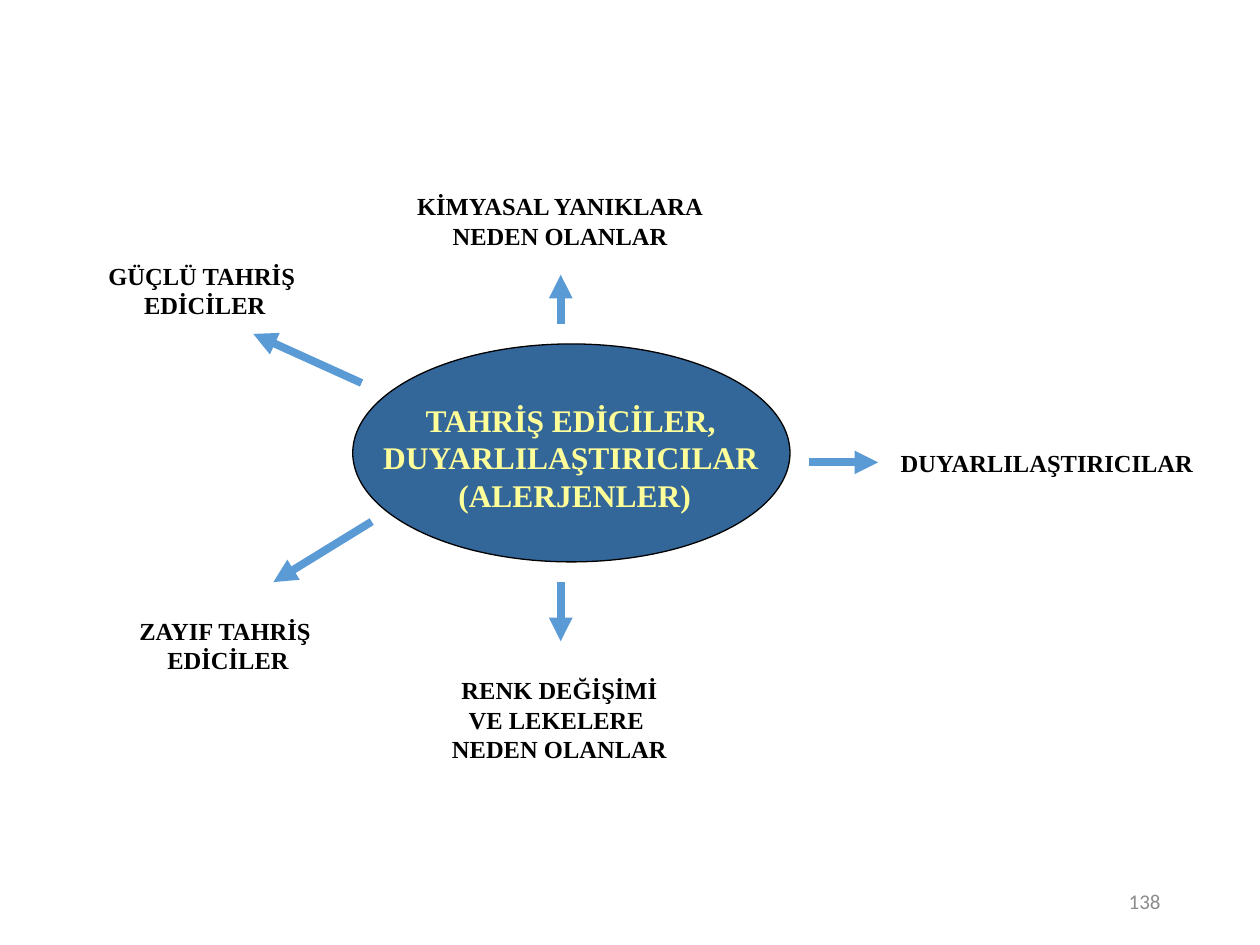
from dataclasses import dataclass

import pptx
import pptx.dml.color
import pptx.enum.shapes
import pptx.enum.text
import pptx.oxml.ns
import pptx.util
from lxml import etree
from pptx.util import Inches

COLORS = {
    "ellipse": "336699",
    "outline": "000000",
    "arrow": "5B9BD5",
    "center": "FFFF99",
    "label": "000000",
    "number": "8C8C8C",
}
ALIGN = pptx.enum.text.PP_ALIGN
ANCHOR = pptx.enum.text.MSO_ANCHOR
AUTO_SIZE = pptx.enum.text.MSO_AUTO_SIZE


@dataclass
class Label:
    lines: list[str]
    left: float
    top: float
    width: float
    height: float
    color: str = "label"
    size: int = 14
    font: str = "Times New Roman"
    bold: bool = True
    align: ALIGN = ALIGN.CENTER
    anchor: ANCHOR = ANCHOR.TOP
    wrap: bool = False
    fit: AUTO_SIZE = AUTO_SIZE.SHAPE_TO_FIT_TEXT


@dataclass
class Arrow:
    start: tuple[float, float]
    end: tuple[float, float]


ARROWS = [
    Arrow((4.45, 2.57), (4.45, 2.18)),
    Arrow((6.42, 3.67), (6.97, 3.67)),
    Arrow((2.95, 4.14), (2.17, 4.62)),
    Arrow((2.87, 3.04), (2.01, 2.65)),
    Arrow((4.45, 4.62), (4.45, 5.09)),
]
LABELS = [
    Label(["TAHRİŞ EDİCİLER,", "DUYARLILAŞTIRICILAR", " (ALERJENLER)"],
          2.56, 3.13, 3.94, 1, color="center", size=18, wrap=True),
    Label(["GÜÇLÜ TAHRİŞ ", "EDİCİLER"], 0.75, 2.02, 1.75, 0.57),
    Label(["KİMYASAL YANIKLARA", "NEDEN OLANLAR"], 3.2, 1.47, 2.49, 0.57),
    Label(["DUYARLILAŞTIRICILAR"], 7.05, 3.51, 2.54, 0.33, align=ALIGN.LEFT),
    Label(["ZAYIF TAHRİŞ ", "EDİCİLER"], 1, 4.84, 1.62, 0.57),
    Label(["RENK DEĞİŞİMİ", "VE LEKELERE ", "NEDEN OLANLAR"], 3.48, 5.31, 1.92, 0.81),
    Label(["138"], 7.06, 6.95, 2.25, 0.4, color="number", size=12, font="Calibri",
          bold=False, align=ALIGN.RIGHT, anchor=ANCHOR.MIDDLE, wrap=True,
          fit=AUTO_SIZE.NONE),
]


def rgb(name: str) -> pptx.dml.color.RGBColor:
    return pptx.dml.color.RGBColor.from_string(COLORS[name])


def set_all(target: object, values: dict) -> None:
    for name, value in values.items():
        setattr(target, name, value)


def draw_ellipse(page: pptx.slide.Slide) -> None:
    ellipse = page.shapes.add_shape(
        pptx.enum.shapes.MSO_SHAPE.OVAL,
        Inches(2.8), Inches(2.73), Inches(3.47), Inches(1.73))
    ellipse.shadow.inherit = False
    ellipse.fill.solid()
    ellipse.fill.fore_color.rgb = rgb("ellipse")
    ellipse.line.color.rgb = rgb("outline")
    ellipse.line.width = pptx.util.Pt(0.75)


def draw_arrow(page: pptx.slide.Slide, arrow: Arrow) -> None:
    connector = page.shapes.add_connector(
        pptx.enum.shapes.MSO_CONNECTOR.STRAIGHT,
        *(Inches(value) for value in arrow.start + arrow.end))
    connector.line.color.rgb = rgb("arrow")
    connector.line.width = pptx.util.Pt(4.5)
    qn = pptx.oxml.ns.qn
    etree.SubElement(connector.line._get_or_add_ln(), qn("a:tailEnd"), type="triangle")
    etree.SubElement(connector._element.spPr, qn("a:effectLst"))


def draw_label(page: pptx.slide.Slide, label: Label) -> None:
    box = page.shapes.add_textbox(
        Inches(label.left), Inches(label.top), Inches(label.width), Inches(label.height))
    frame = box.text_frame
    set_all(frame, {"word_wrap": label.wrap, "auto_size": label.fit,
                    "vertical_anchor": label.anchor})
    for index, line in enumerate(label.lines):
        para = frame.add_paragraph() if index else frame.paragraphs[0]
        para.alignment = label.align
        span = para.add_run()
        span.text = line
        set_all(span.font, {"name": label.font, "size": pptx.util.Pt(label.size),
                            "bold": label.bold})
        span.font.color.rgb = rgb(label.color)


def main() -> None:
    deck = pptx.Presentation()
    set_all(deck, {"slide_width": Inches(10), "slide_height": Inches(7.5)})
    page = deck.slides.add_slide(deck.slide_layouts.get_by_name("Blank"))
    draw_ellipse(page)
    for arrow in ARROWS:
        draw_arrow(page, arrow)
    for label in LABELS:
        draw_label(page, label)
    deck.save("out.pptx")


if __name__ == "__main__":
    main()
